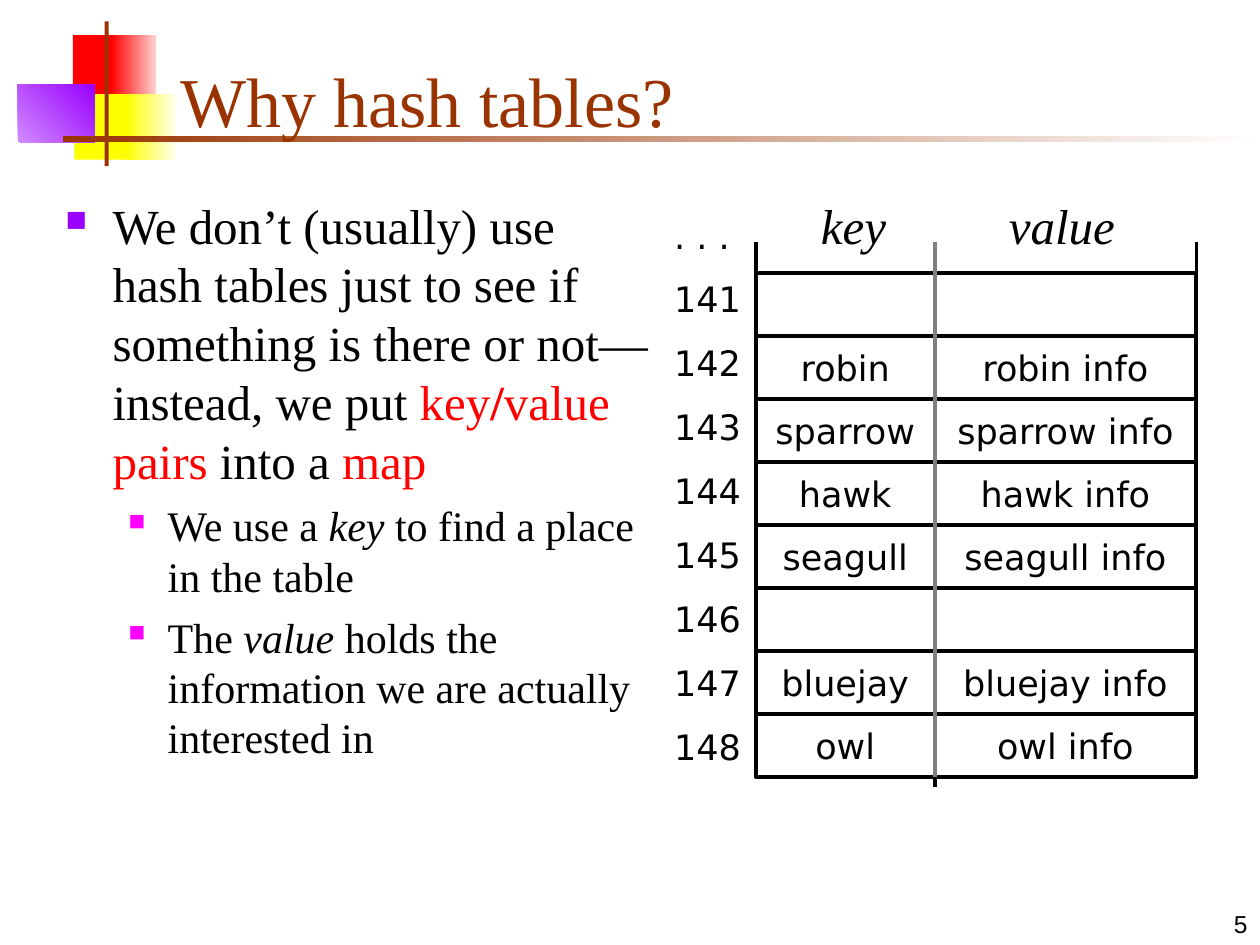
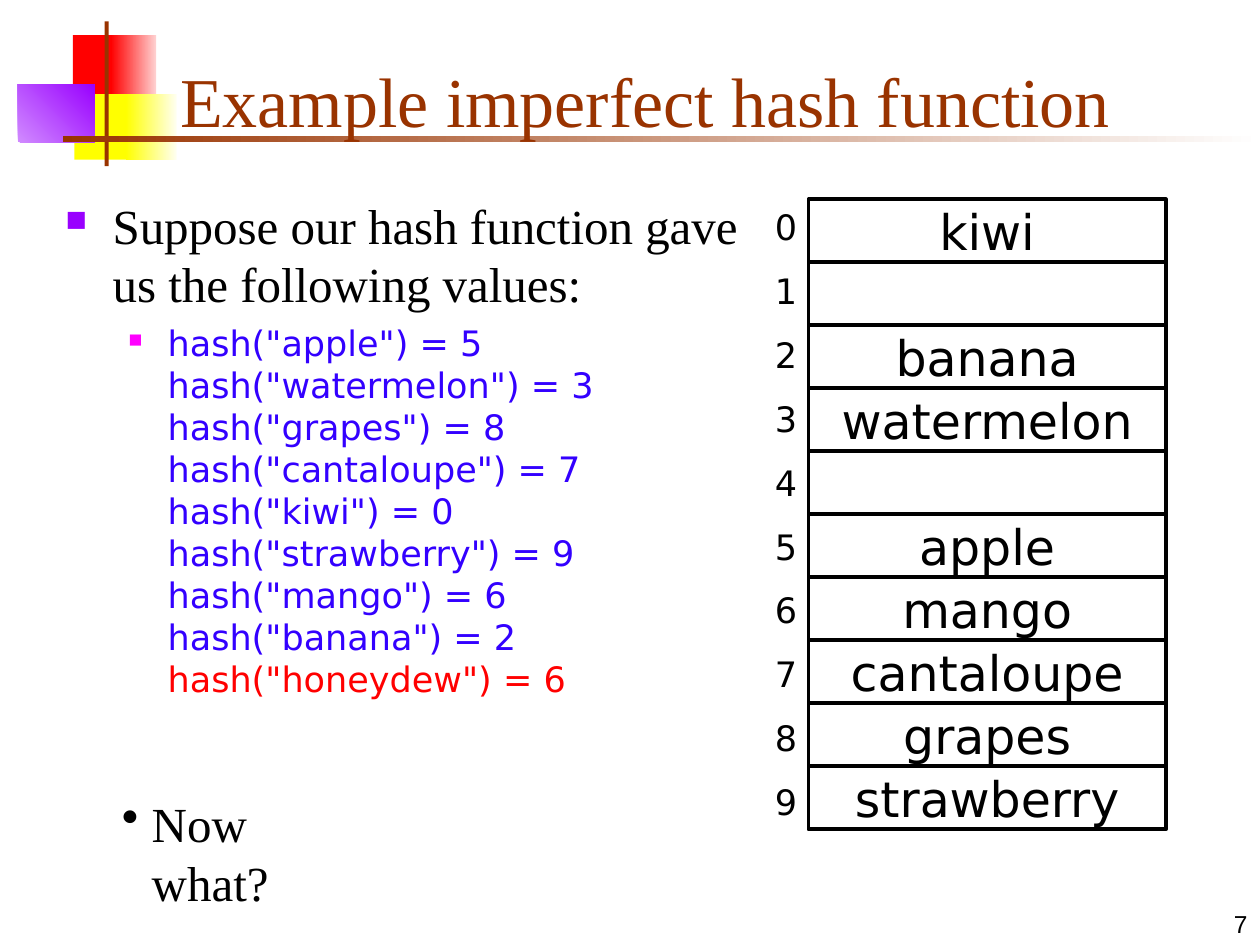
from lxml.etree import SubElement
from pptx import Presentation
from pptx.dml.color import RGBColor
from pptx.enum.shapes import MSO_CONNECTOR, MSO_SHAPE
from pptx.enum.text import MSO_ANCHOR, MSO_AUTO_SIZE, PP_ALIGN
from pptx.oxml.ns import qn
from pptx.util import Cm, Pt

BLACK = RGBColor(0, 0, 0)
WHITE = RGBColor(255, 255, 255)
GRAY = RGBColor(0x80, 0x80, 0x80)
BROWN = RGBColor(0x99, 0x33, 0x00)
RED = RGBColor(255, 0, 0)
PINK = RGBColor(0xFF, 0xD1, 0xD1)
YELLOW = RGBColor(255, 255, 0)
IVORY = RGBColor(0xFF, 0xFF, 0xF0)
PURPLE = RGBColor(0x99, 0x00, 0xFF)
LILAC = RGBColor(0xD1, 0x8B, 0xFF)
MAGENTA = RGBColor(0xFF, 0x00, 0xFF)
BLUE = RGBColor(0x33, 0x00, 0xFF)

SERIF = "Times New Roman"
SANS = "DejaVu Sans"
ROW_HEIGHT = 1.27

ORNAMENTS = [
    (1.47, 0.71, 0.89, 1.32, RED, None, 0),
    (2.24, 0.71, 0.91, 1.32, RED, PINK, 0),
    (1.5, 1.9, 1.17, 1.32, YELLOW, None, 0),
    (2.54, 1.9, 1.02, 1.32, YELLOW, IVORY, 0),
    (0.36, 1.7, 1.55, 1.17, LILAC, PURPLE, 45),
    (2.11, 0.43, 0.08, 2.92, BROWN, None, 0),
    (1.27, 2.74, 24.13, 0.13, BROWN, WHITE, 0),
]

RECORDS = [
    ("141", ""), ("142", "robin"), ("143", "sparrow"), ("144", "hawk"),
    ("145", "seagull"), ("146", ""), ("147", "bluejay"), ("148", "owl"),
]

FRUITS = ["kiwi", "", "banana", "watermelon", "", "apple", "mango",
          "cantaloupe", "grapes", "strawberry"]

HASHES = [("apple", 5), ("watermelon", 3), ("grapes", 8), ("cantaloupe", 7),
          ("kiwi", 0), ("strawberry", 9), ("mango", 6), ("banana", 2),
          ("honeydew", 6)]


def style(font, size, name=SERIF, color=BLACK, bold=False, italic=False):
    font.size = Pt(size)
    font.name = name
    font.color.rgb = color
    font.bold = bold
    font.italic = italic


def style_runs(paragraph, size, name=SERIF, color=BLACK, italic=False):
    for run in paragraph.runs:
        style(run.font, size, name, color, italic=italic)


def add_runs(paragraph, size, pieces):
    for text, emphasis in pieces:
        run = paragraph.add_run()
        run.text = text
        style(run.font, size, **emphasis)


def add_bullet(paragraph, char, margin, hanging, color, percent):
    properties = paragraph._p.get_or_add_pPr()
    properties.set("marL", str(Cm(margin)))
    properties.set("indent", str(Cm(-hanging)))
    bullet_color = SubElement(properties, qn("a:buClr"))
    SubElement(bullet_color, qn("a:srgbClr"), val=str(color))
    SubElement(properties, qn("a:buSzPct"), val=str(percent * 1000))
    SubElement(properties, qn("a:buChar"), char=char)


def main_bullet(paragraph):
    add_bullet(paragraph, "■", 0.95, 0.95, PURPLE, 60)


def sub_bullet(paragraph, space_before):
    paragraph.level = 1
    add_bullet(paragraph, "■", 2.06, 0.79, MAGENTA, 55)
    paragraph.space_before = Pt(space_before)


def add_text_frame(slide, left, top, width, height):
    frame = slide.shapes.add_textbox(
        Cm(left), Cm(top), Cm(width), Cm(height)).text_frame
    frame.word_wrap = True
    return frame


def add_ornaments(slide):
    for left, top, width, height, start, end, angle in ORNAMENTS:
        block = slide.shapes.add_shape(
            MSO_SHAPE.RECTANGLE, Cm(left), Cm(top), Cm(width), Cm(height))
        block.shadow.inherit = False
        block.line.fill.background()
        if end is None:
            block.fill.solid()
            block.fill.fore_color.rgb = start
        else:
            block.fill.gradient()
            block.fill.gradient_angle = angle
            for stop, color, position in zip(
                    block.fill.gradient_stops, (start, end), (0, 1)):
                stop.color.rgb = color
                stop.position = position


def add_title(slide, heading):
    title = slide.shapes.title
    title.left, title.top = Cm(3.38), Cm(0.64)
    title.width, title.height = Cm(21.64), Cm(2.34)
    frame = title.text_frame
    frame.text = heading
    frame.auto_size = MSO_AUTO_SIZE.NONE
    frame.vertical_anchor = MSO_ANCHOR.BOTTOM
    frame.paragraphs[0].alignment = PP_ALIGN.LEFT
    style_runs(frame.paragraphs[0], 40, color=BROWN)
    title.element.getparent().append(title.element)


def add_page_number(slide, number):
    frame = add_text_frame(slide, 20.12, 17.78, 5.28, 1.27)
    frame.vertical_anchor = MSO_ANCHOR.BOTTOM
    frame.text = str(number)
    frame.paragraphs[0].alignment = PP_ALIGN.RIGHT
    style_runs(frame.paragraphs[0], 14, "Arial")


def start_slide(deck, heading, number):
    slide = deck.slides.add_slide(deck.slide_layouts.get_by_name("Title Only"))
    add_ornaments(slide)
    add_title(slide, heading)
    add_page_number(slide, number)
    return slide


def add_cells(slide, left, top, width, entries, size):
    for row, entry in enumerate(entries):
        cell = slide.shapes.add_shape(
            MSO_SHAPE.FLOWCHART_PROCESS, Cm(left), Cm(top + row * ROW_HEIGHT),
            Cm(width), Cm(ROW_HEIGHT))
        cell.shadow.inherit = False
        cell.fill.background()
        cell.line.color.rgb = BLACK
        cell.line.width = Pt(2.25)
        if entry:
            frame = cell.text_frame
            frame.text = entry
            frame.word_wrap = False
            frame.vertical_anchor = MSO_ANCHOR.MIDDLE
            frame.paragraphs[0].alignment = PP_ALIGN.CENTER
            style_runs(frame.paragraphs[0], size, SANS)


def add_indices(slide, left, top, width, labels):
    frame = add_text_frame(slide, left, top, width, 12.7)
    frame.text = "\n".join(labels)
    for row, paragraph in enumerate(frame.paragraphs):
        if row:
            paragraph.space_before = Pt(12.5)
        style_runs(paragraph, 20, SANS)


def add_rule(slide, x, top, bottom, color=BLACK):
    rule = slide.shapes.add_connector(
        MSO_CONNECTOR.STRAIGHT, Cm(x), Cm(bottom), Cm(x), Cm(top))
    rule.line.color.rgb = color
    rule.line.width = Pt(2.25)
    SubElement(rule._element.spPr, qn("a:effectLst"))


def add_record_table(slide, left, top, key_width, value_width):
    middle = left + key_width
    right = middle + value_width
    bottom = top + len(RECORDS) * ROW_HEIGHT
    keys = [key for _, key in RECORDS]
    add_cells(slide, left, top, key_width, keys, 20)
    add_indices(slide, left - 1.9, top - 1.31, 1.9,
                [". . ."] + [index for index, _ in RECORDS])
    add_rule(slide, middle, top - 0.42, bottom + 0.21)
    add_cells(slide, middle, top, value_width,
              [key and f"{key} info" for key in keys], 20)
    for x, color in ((left, BLACK), (middle, GRAY), (right, BLACK)):
        add_rule(slide, x, top - 0.62, bottom, color)

    headings = add_text_frame(slide, left + 1.06, top - 1.69, 7.83, 1.45)
    headings.text = "key\tvalue"
    paragraph = headings.paragraphs[0]
    stops = SubElement(paragraph._p.get_or_add_pPr(), qn("a:tabLst"))
    SubElement(stops, qn("a:tab"), pos=str(Cm(3.79)), algn="l")
    style_runs(paragraph, 28, italic=True)


def add_map_notes(slide, left, top, width, height):
    frame = add_text_frame(slide, left, top, width, height)
    red, italic = {"color": RED}, {"italic": True}
    reason = frame.paragraphs[0]
    main_bullet(reason)
    add_runs(reason, 28, [
        ("We don’t (usually) use hash tables just to see if something is "
         "there or not—instead, we put ", {}),
        ("key", red), ("/", {"color": RED, "bold": True}),
        ("value pairs", red), (" into a ", {}), ("map", red)])
    for pieces in (
            [("We use a ", {}), ("key", italic),
             (" to find a place in the table", {})],
            [("The ", {}), ("value", italic),
             (" holds the information we are actually interested in", {})]):
        detail = frame.add_paragraph()
        sub_bullet(detail, 6)
        add_runs(detail, 24, pieces)


def add_hash_notes(slide, left, top, width, height):
    frame = add_text_frame(slide, left, top, width, height)
    frame.text = "Suppose our hash function gave us the following values:"
    main_bullet(frame.paragraphs[0])
    style_runs(frame.paragraphs[0], 28)
    calls = frame.add_paragraph()
    calls.text = "\v".join(f'hash("{fruit}") = {slot}' for fruit, slot in HASHES)
    sub_bullet(calls, 5)
    style_runs(calls, 20, SANS, BLUE)
    calls.runs[-1].font.color.rgb = RED


def add_question(slide, left, top, width, height):
    frame = add_text_frame(slide, left, top, width, height)
    frame.text = "Now what?"
    add_bullet(frame.paragraphs[0], "•", 0.6, 0.6, BLACK, 100)
    style_runs(frame.paragraphs[0], 28)


def add_fruit_table(slide, left, top, width):
    add_cells(slide, left, top, width, FRUITS, 28)
    add_indices(slide, left - 0.93, top, 0.98,
                [str(slot) for slot in range(len(FRUITS))])


def main():
    deck = Presentation()
    deck.slide_width, deck.slide_height = Cm(25.4), Cm(19.05)

    why = start_slide(deck, "Why hash tables?", 5)
    add_map_notes(why, 1.07, 3.81, 12.37, 13.23)
    add_record_table(why, 15.24, 5.5, 3.6, 5.28)

    example = start_slide(deck, "Example imperfect hash function", 7)
    add_hash_notes(example, 1.07, 3.81, 14.25, 12.14)
    add_fruit_table(example, 16.3, 4.02, 7.2)
    add_question(example, 2.21, 15.88, 5.61, 1.45)

    deck.save("out.pptx")


if __name__ == "__main__":
    main()
